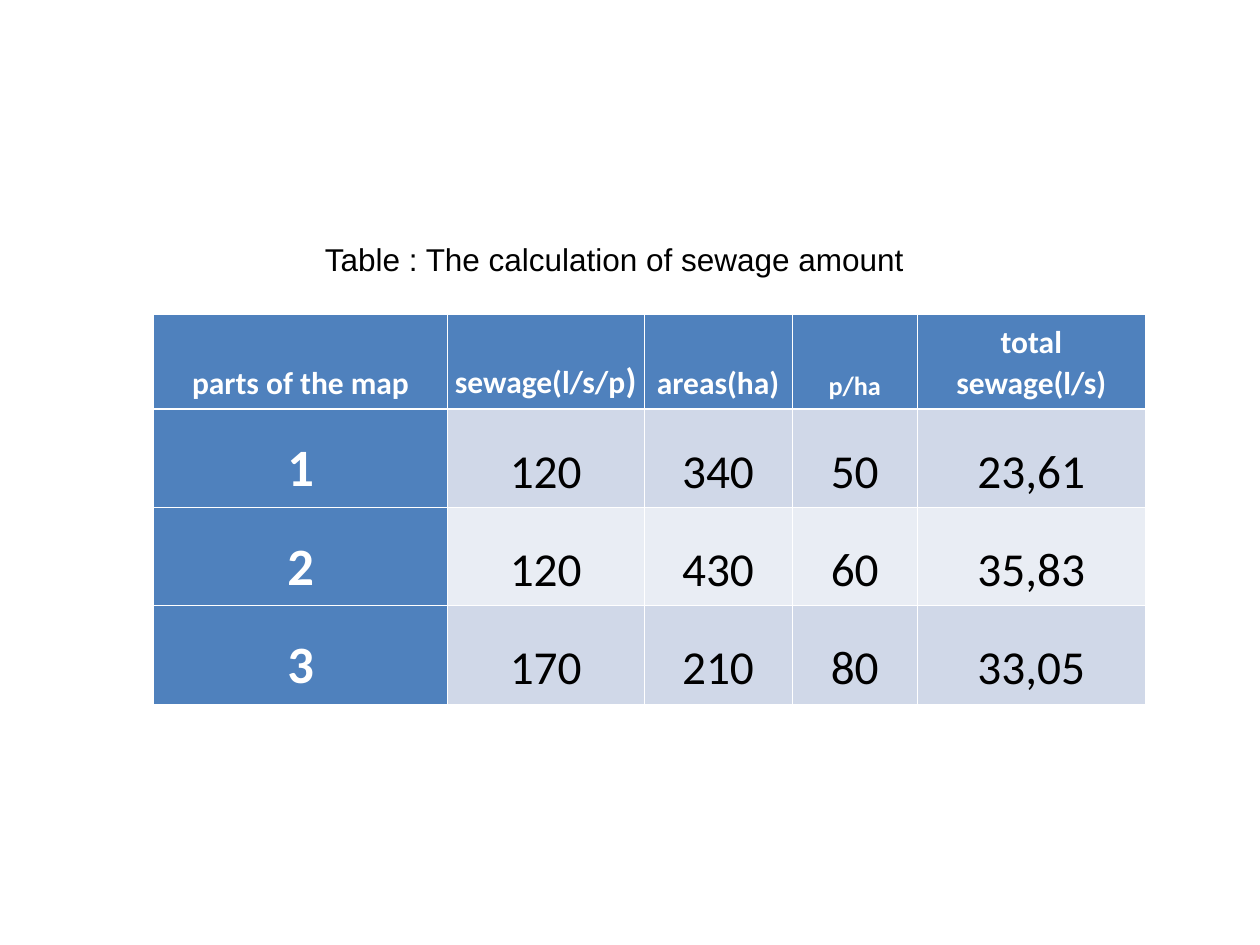
"""Build a slide with a captioned table of sewage amounts."""
from lxml import etree
from pptx import Presentation
from pptx.dml.color import RGBColor
from pptx.enum.text import MSO_ANCHOR, MSO_AUTO_SIZE, PP_ALIGN
from pptx.oxml.ns import qn
from pptx.util import Cm, Pt

BOTTOM = MSO_ANCHOR.BOTTOM
CENTER = PP_ALIGN.CENTER
FIT_SHAPE = MSO_AUTO_SIZE.SHAPE_TO_FIT_TEXT
COLORS = {"white": "FFFFFF", "black": "000000", "head": "4F81BD", "odd": "D0D8E8", "even": "E9EDF4"}
HEADERS = [
    [("parts of the map", 18)],
    [("sewage(l/s/p", 18), (")", 20)],
    [("areas(ha)", 18)],
    [("p/ha", 15)],
    [("total sewage(l/s)", 18)],
]
VALUES = [
    ["1", "120", "340", "50", "23,61"],
    ["2", "120", "430", "60", "35,83"],
    ["3", "170", "210", "80", "33,05"],
]
COL_WIDTHS = [5.92, 3.96, 2.99, 2.52, 4.6]
ROW_HEIGHTS = [1.63, 1.98, 1.98, 1.98]


def add_text(p, text, size=18, font="Calibri", color="black", bold=False):
    r = p.add_run()
    r.text = text
    r.font.size = Pt(size)
    r.font.name = font
    r.font.bold = bold
    r.font.color.rgb = RGBColor.from_string(COLORS[color])


def add_border(cell, side, width):
    ln = etree.SubElement(cell._tc.get_or_add_tcPr(), qn(f"a:ln{side}"), w=str(Pt(width)))
    fill = etree.SubElement(ln, qn("a:solidFill"))
    etree.SubElement(fill, qn("a:srgbClr"), val=COLORS["white"])


prs = Presentation()
prs.slide_width, prs.slide_height = Cm(25.4), Cm(19.05)
s = prs.slides.add_slide(prs.slide_layouts[6])

rows = HEADERS, *[[[(v, 27 if j else 30)] for j, v in enumerate(row)] for row in VALUES]
frame = s.shapes.add_table(len(rows), len(COL_WIDTHS), Cm(3.1), Cm(6.33),
                           Cm(sum(COL_WIDTHS)), Cm(sum(ROW_HEIGHTS)))
table = frame.table
for col, width in zip(table.columns, COL_WIDTHS):
    col.width = Cm(width)
for row, height in zip(table.rows, ROW_HEIGHTS):
    row.height = Cm(height)

for i, row in enumerate(rows):
    for j, runs in enumerate(row):
        cell = table.cell(i, j)
        is_head = i == 0 or j == 0
        cell.vertical_anchor = BOTTOM
        cell.margin_left = cell.margin_right = Cm(0.1)
        cell.margin_top = cell.margin_bottom = Cm(0.13)
        for side in "LRTB":
            add_border(cell, side, 1.47 if (i, side) in [(0, "B"), (1, "T")] else 0.45)
        cell.fill.solid()
        fill = "head" if is_head else "odd" if i % 2 else "even"
        cell.fill.fore_color.rgb = RGBColor.from_string(COLORS[fill])
        p = cell.text_frame.paragraphs[0]
        p.alignment = CENTER
        p.line_spacing = 1.07
        for text, size in runs:
            add_text(p, text, size=size, color="white" if is_head else "black", bold=is_head)

caption = s.shapes.add_textbox(Cm(6.3), Cm(4.72), Cm(13.77), Cm(1.02))
tf = caption.text_frame
tf.word_wrap = True
tf.auto_size = FIT_SHAPE
add_text(tf.paragraphs[0], "Table : The calculation of sewage amount", font="Arial")

prs.save("out.pptx")
